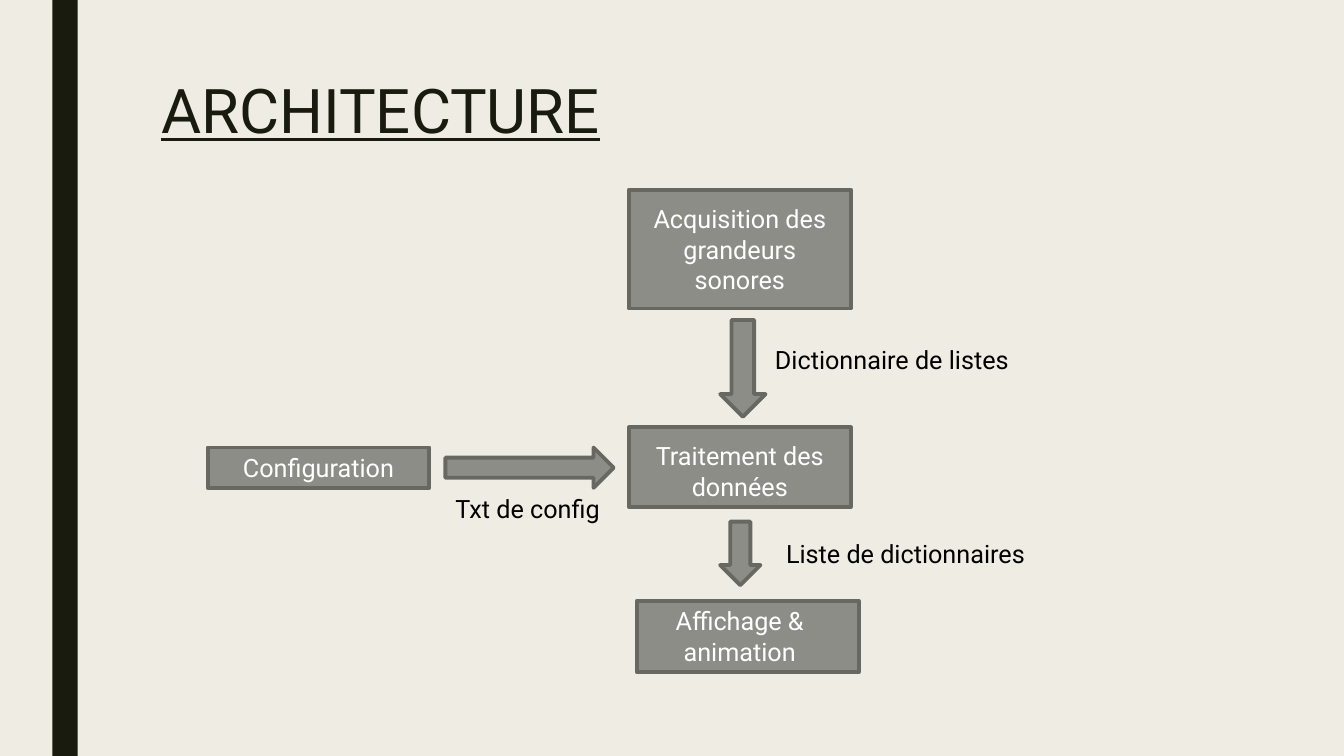
from pptx import Presentation
from pptx.dml.color import RGBColor
from pptx.enum.shapes import MSO_SHAPE
from pptx.enum.text import MSO_ANCHOR, MSO_AUTO_SIZE, PP_ALIGN
from pptx.util import Pt

COLORS = {
    "background": "EFEDE3",
    "dark": "191B0E",
    "fill": "8C8D86",
    "border": "686863",
    "light": "FFFFFF",
    "label": "000000",
}
FONT = "Roboto"
BOX_WIDTH = 158.4
COLUMN_LEFT = 449.3
ARROW_LEFT = 514.4
LINE_HEIGHT = 28.8

STEPS = [
    ("Acquisition des grandeurs sonores", (COLUMN_LEFT, 135.4, BOX_WIDTH, 85), (13, 10, 13)),
    ("Traitement des données", (COLUMN_LEFT, 305.3, BOX_WIDTH, 56.9), (13, 9.4, 13)),
    ("Configuration", (148.3, 319.7, BOX_WIDTH, LINE_HEIGHT), (13, 3.6, 13)),
    ("Affichage & animation", (455, 429.1, BOX_WIDTH, 51.1), (7.2, 3.6, 18.7)),
]
ARROWS = [
    (MSO_SHAPE.RIGHT_ARROW, (318.2, 319.7, 120.2, LINE_HEIGHT)),
    (MSO_SHAPE.DOWN_ARROW, (ARROW_LEFT, 228.6, 32.4, 69.1)),
    (MSO_SHAPE.DOWN_ARROW, (ARROW_LEFT, 372.6, LINE_HEIGHT, 45.4)),
]
LABELS = [
    ("Dictionnaire de listes", (546.5, 242.6, 309.6, LINE_HEIGHT)),
    ("Txt de config", (318.2, 348.5, 131.8, LINE_HEIGHT)),
    ("Liste de dictionnaires", (554.4, 380.9, 309.6, LINE_HEIGHT)),
]


def color(name):
    return RGBColor.from_string(COLORS[name])


def points(box):
    return [Pt(length) for length in box]


def write_text(shape, text, size, color_name, align=PP_ALIGN.LEFT):
    frame = shape.text_frame
    frame.text = text
    frame.word_wrap = True
    frame.auto_size = MSO_AUTO_SIZE.NONE
    frame.vertical_anchor = MSO_ANCHOR.TOP
    para = frame.paragraphs[0]
    para.alignment = align
    span = para.runs[0]
    span.font.name = FONT
    span.font.size = Pt(size)
    span.font.color.rgb = color(color_name)
    return para


def add_block(page, kind, box, fill="fill", border="border"):
    shape = page.shapes.add_shape(kind, *points(box))
    shape.shadow.inherit = False
    shape.fill.solid()
    shape.fill.fore_color.rgb = color(fill)
    if border:
        shape.line.color.rgb = color(border)
        shape.line.width = Pt(2.75)
    else:
        shape.line.fill.background()
    return shape


def add_title(page, text, box):
    title = page.shapes.title
    title.left, title.top, title.width, title.height = points(box)
    para = write_text(title, text, 44, "dark")
    para.line_spacing = 0.89
    para.runs[0].font.underline = True


def add_step(page, text, box, insets):
    shape = add_block(page, MSO_SHAPE.RECTANGLE, box)
    write_text(shape, text, 18, "light", PP_ALIGN.CENTER)
    frame = shape.text_frame
    frame.margin_left, frame.margin_top, frame.margin_right = points(insets)
    frame.margin_bottom = 0


def add_label(page, text, box):
    label = page.shapes.add_textbox(*points(box))
    write_text(label, text, 18, "label")


def add_diagram(page):
    for text, box, insets in STEPS:
        add_step(page, text, box, insets)
    for kind, box in ARROWS:
        add_block(page, kind, box)
    for text, box in LABELS:
        add_label(page, text, box)


def main():
    deck = Presentation()
    deck.slide_width, deck.slide_height = Pt(960), Pt(540)
    page = deck.slides.add_slide(deck.slide_layouts[5])
    page.background.fill.solid()
    page.background.fill.fore_color.rgb = color("background")
    add_block(page, MSO_SHAPE.RECTANGLE, (37.4, 0, 18, 540), "dark", None)
    add_title(page, "ARCHITECTURE", (108, 54, 756, 116.6))
    add_diagram(page)
    deck.save("out.pptx")


if __name__ == "__main__":
    main()
